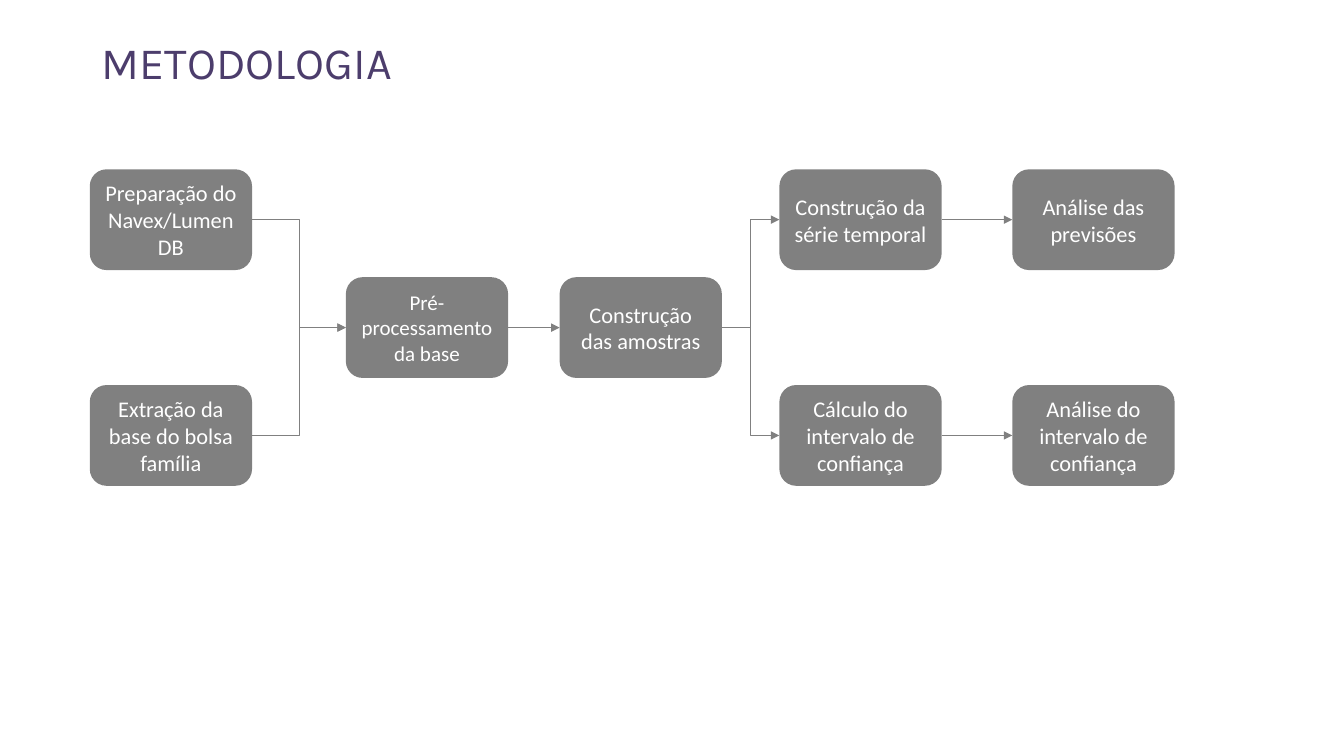
from lxml import etree
from pptx import Presentation
from pptx.dml.color import RGBColor
from pptx.enum.shapes import MSO_CONNECTOR, MSO_SHAPE
from pptx.enum.text import MSO_ANCHOR, MSO_AUTO_SIZE, PP_ALIGN
from pptx.oxml.ns import qn
from pptx.util import Inches, Pt

GRAY, WHITE, PURPLE = "808080", "FFFFFF", "4C3D6C"
COLS = [0.89, 3.43, 5.55, 7.73, 10.04]
TOP, ROW_STEP = 1.68, 1.07
BOX_W, BOX_H = 1.61, 1
RIGHT, LEFT = 3, 1


def rgb(color):
    return RGBColor.from_string(color)


def write(tf, text, font, size, color, align):
    tf.word_wrap = True
    tf.auto_size = MSO_AUTO_SIZE.NONE
    tf.vertical_anchor = MSO_ANCHOR.MIDDLE
    p = tf.paragraphs[0]
    p.alignment = align
    r = p.add_run()
    r.text = text
    r.font.name = font
    r.font.size = Pt(size)
    r.font.color.rgb = rgb(color)


prs = Presentation()
prs.slide_width, prs.slide_height = Inches(13.33), Inches(7.5)
s = prs.slides.add_slide(prs.slide_layouts[5])

title = s.shapes.title
title.left, title.top = Inches(0.91), Inches(0.29)
title.width, title.height = Inches(9.34), Inches(0.64)
write(title.text_frame, "METODOLOGIA", "Karla", 32, PURPLE, PP_ALIGN.LEFT)

# Steps: key, column, row, text, text size
steps = [
    ("setup", 0, 0, "Preparação do Navex/LumenDB", 16),
    ("extraction", 0, 2, "Extração da base do bolsa família", 16),
    ("preprocessing", 1, 1, "Pré-processamento da base", 15),
    ("samples", 2, 1, "Construção das amostras", 16),
    ("series", 3, 0, "Construção da série temporal", 16),
    ("interval", 3, 2, "Cálculo do intervalo de confiança", 16),
    ("forecast_analysis", 4, 0, "Análise das previsões", 16),
    ("interval_analysis", 4, 2, "Análise do intervalo de confiança", 16),
]
boxes = {}
for key, col, row, text, size in steps:
    sp = s.shapes.add_shape(
        MSO_SHAPE.ROUNDED_RECTANGLE, Inches(COLS[col]),
        Inches(TOP + row * ROW_STEP), Inches(BOX_W), Inches(BOX_H))
    sp.shadow.inherit = False
    sp.fill.solid()
    sp.fill.fore_color.rgb = rgb(GRAY)
    sp.line.fill.background()
    write(sp.text_frame, text, "Calibri", size, WHITE, PP_ALIGN.CENTER)
    boxes[key] = sp

# Arrows run from the right side of one step to the left side of the next
flows = [
    ("setup", "preprocessing"),
    ("extraction", "preprocessing"),
    ("preprocessing", "samples"),
    ("samples", "series"),
    ("samples", "interval"),
    ("series", "forecast_analysis"),
    ("interval", "interval_analysis"),
]
for start, end in flows:
    a, b = boxes[start], boxes[end]
    kind = MSO_CONNECTOR.STRAIGHT if a.top == b.top else MSO_CONNECTOR.ELBOW
    arrow = s.shapes.add_connector(
        kind, a.left + a.width, a.top + a.height // 2,
        b.left, b.top + b.height // 2)
    arrow.begin_connect(a, RIGHT)
    arrow.end_connect(b, LEFT)
    arrow.line.color.rgb = rgb(GRAY)
    arrow.line.width = Pt(0.5)
    etree.SubElement(arrow.line._get_or_add_ln(), qn("a:tailEnd"), type="triangle")
    etree.SubElement(arrow._element.spPr, qn("a:effectLst"))

prs.save("out.pptx")
